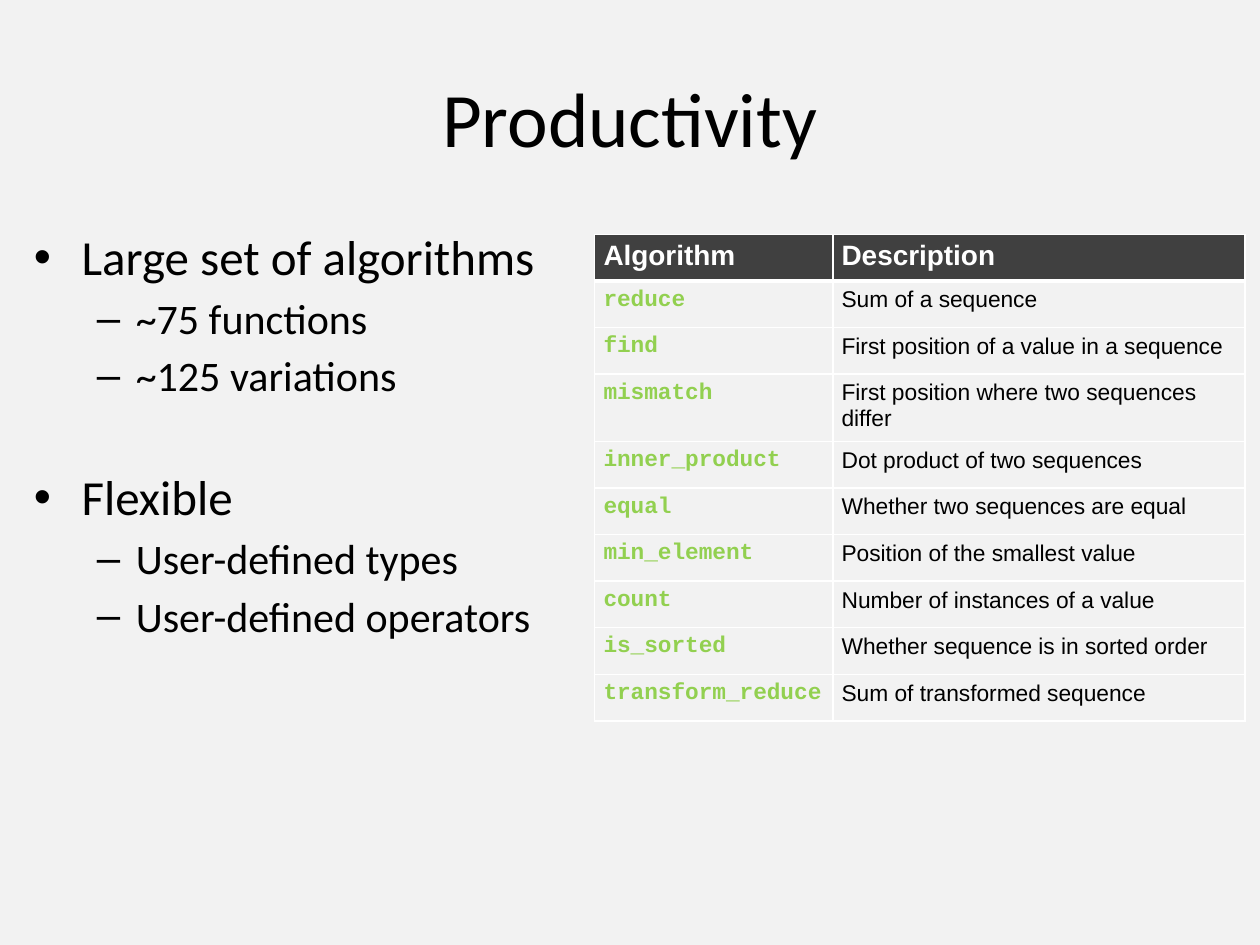
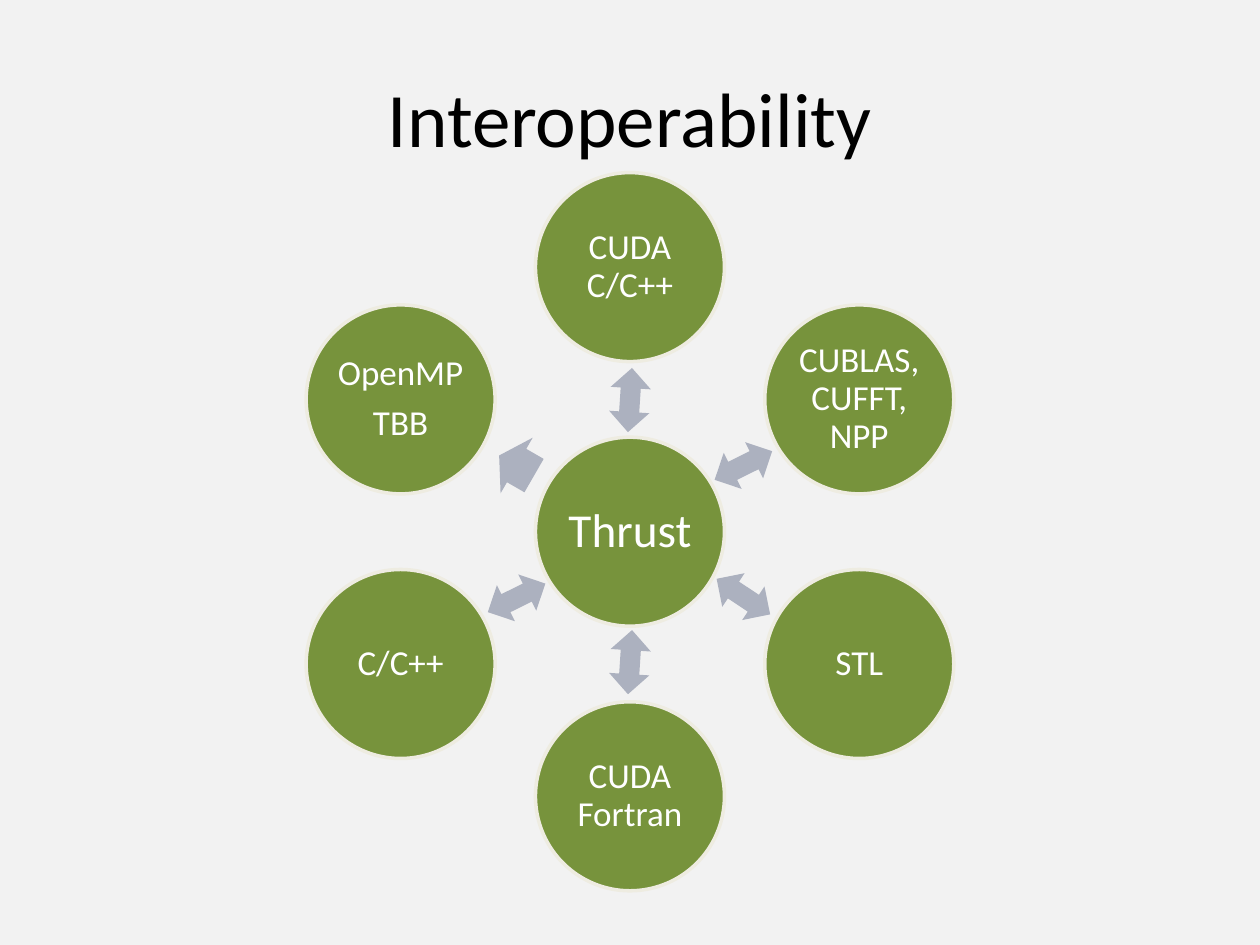
"""Build two slides on productivity and interoperability."""
from math import cos, radians, sin

from lxml import etree
from pptx import Presentation
from pptx.dml.color import RGBColor
from pptx.enum.shapes import MSO_SHAPE
from pptx.enum.text import MSO_ANCHOR, PP_ALIGN
from pptx.oxml.ns import qn
from pptx.util import Pt

OVAL = MSO_SHAPE.OVAL
BOTH = MSO_SHAPE.UP_DOWN_ARROW
RIGHT = MSO_SHAPE.RIGHT_ARROW
MIDDLE = MSO_ANCHOR.MIDDLE
CENTER = PP_ALIGN.CENTER
PX = 9144


class Theme:
    back = RGBColor.from_string("F2F2F2")
    black = RGBColor.from_string("000000")
    white = RGBColor.from_string("FFFFFF")
    head = RGBColor.from_string("404040")
    code = RGBColor.from_string("92D050")
    disc = RGBColor.from_string("77933C")
    rim = RGBColor.from_string("EEECE1")
    arrow = RGBColor.from_string("ACB1BF")
    main, sans, mono = "Calibri", "Arial", "Courier New"
    title, hub, node = 44, 27, 20
    levels = (28, 24)
    label, cell = 16, 13


def style(para, size, color, font=Theme.main, bold=False):
    for run in para.runs:
        run.font.size = Pt(size)
        run.font.color.rgb = color
        run.font.name = font
        run.font.bold = bold


def draw(slide, kind, mid, wide, high, color):
    left, top = mid[0] - wide / 2, mid[1] - high / 2
    shape = slide.shapes.add_shape(
        kind, round(left) * PX, round(top) * PX, wide * PX, high * PX)
    shape.shadow.inherit = False
    shape.fill.solid()
    shape.fill.fore_color.rgb = color
    shape.line.fill.background()
    return shape


deck = Presentation()
deck.slide_width, deck.slide_height = 1000 * PX, 750 * PX
pages = []
for title in ("Productivity", "Interoperability"):
    slide = deck.slides.add_slide(deck.slide_layouts[6])
    slide.background.fill.solid()
    slide.background.fill.fore_color.rgb = Theme.back
    frame = slide.shapes.add_textbox(50 * PX, 30 * PX, 900 * PX, 125 * PX).text_frame
    frame.word_wrap = True
    frame.vertical_anchor = MIDDLE
    para = frame.paragraphs[0]
    para.text = title
    para.alignment = CENTER
    style(para, Theme.title, Theme.black)
    pages.append(slide)
prod, inter = pages

points = (
    (0, "Large set of algorithms", 4),
    (1, "~75 functions", 4),
    (1, "~125 variations", 4),
    (0, "Flexible", 38),
    (1, "User-defined types", 4),
    (1, "User-defined operators", 4),
)
marks = (("•", 38, 38), ("–", 81, 31))
frame = prod.shapes.add_textbox(17 * PX, 175 * PX, 900 * PX, 495 * PX).text_frame
frame.word_wrap = True
frame.text = "\n".join(text for _, text, _ in points)
for para, (level, _, gap) in zip(frame.paragraphs, points):
    mark, left, hang = marks[level]
    para.level = level
    para.space_before = Pt(gap)
    style(para, Theme.levels[level], Theme.black)
    props = para._p.get_or_add_pPr()
    props.set("marL", str(left * PX))
    props.set("indent", str(-hang * PX))
    face = etree.SubElement(props, qn("a:buFont"))
    face.set("typeface", Theme.sans)
    etree.SubElement(props, qn("a:buChar")).set("char", mark)

rows = (
    ("Algorithm", "Description"),
    ("reduce", "Sum of a sequence"),
    ("find", "First position of a value in a sequence"),
    ("mismatch", "First position where two sequences differ"),
    ("inner_product", "Dot product of two sequences"),
    ("equal", "Whether two sequences are equal"),
    ("min_element", "Position of the smallest value"),
    ("count", "Number of instances of a value"),
    ("is_sorted", "Whether sequence is in sorted order"),
    ("transform_reduce", "Sum of transformed sequence"),
)
table = prod.shapes.add_table(
    len(rows), 2, 472 * PX, 186 * PX, 516 * PX, 370 * PX).table
table.horz_banding = False
for col, wide in zip(table.columns, (189, 327)):
    col.width = wide * PX
for r, row in enumerate(rows):
    table.rows[r].height = 37 * PX
    for c, text in enumerate(row):
        cell = table.cell(r, c)
        cell.text = text
        cell.margin_left = cell.margin_right = 7 * PX
        cell.margin_top = cell.margin_bottom = 5 * PX
        para = cell.text_frame.paragraphs[0]
        if r == 0:
            style(para, Theme.label, Theme.white, Theme.sans, True)
        elif c == 0:
            style(para, Theme.cell, Theme.code, Theme.mono, True)
        else:
            style(para, Theme.cell, Theme.black, Theme.sans)
        props = cell._tc.get_or_add_tcPr()
        for side in "LRTB":
            thick = (r, side) in ((0, "B"), (1, "T"))
            line = etree.SubElement(props, qn("a:ln" + side))
            line.set("w", str(Pt(3 if thick else 1)))
            fill = etree.SubElement(line, qn("a:solidFill"))
            etree.SubElement(fill, qn("a:srgbClr")).set("val", str(Theme.white))
        cell.fill.solid()
        cell.fill.fore_color.rgb = Theme.back if r else Theme.head

hub = (500, 422)
nodes = ("CUDA C/C++", "CUBLAS, CUFFT, NPP", "STL",
         "CUDA Fortran", "C/C++", "OpenMP\nTBB")
discs = [("Thrust", hub, Theme.hub)]
for i, text in enumerate(nodes):
    turn = 60 * i
    dx, dy = sin(radians(turn)), -cos(radians(turn))
    discs.append((text, (hub[0] + 210 * dx, hub[1] + 210 * dy), Theme.node))
    last = i == len(nodes) - 1
    mid = (hub[0] + 104 * dx, hub[1] + 104 * dy)
    arrow = draw(inter, RIGHT if last else BOTH, mid, 32, 51, Theme.arrow)
    arrow.rotation = turn - 90 if last else turn + 3.6
    if last:
        arrow.adjustments[0] = 0.6
        arrow.adjustments[1] = 0.5

for text, mid, size in discs:
    disc = draw(inter, OVAL, mid, 150, 150, Theme.disc)
    disc.line.color.rgb = Theme.rim
    disc.line.width = Pt(2)
    frame = disc.text_frame
    frame.word_wrap = True
    frame.vertical_anchor = MIDDLE
    frame.margin_left = frame.margin_right = 2 * PX
    frame.margin_top = frame.margin_bottom = 2 * PX
    frame.text = text
    for para in frame.paragraphs:
        para.alignment = CENTER
        para.line_spacing = 0.9
        para.space_after = Pt(0.35 * size)
        style(para, size, Theme.white)

deck.save("out.pptx")
